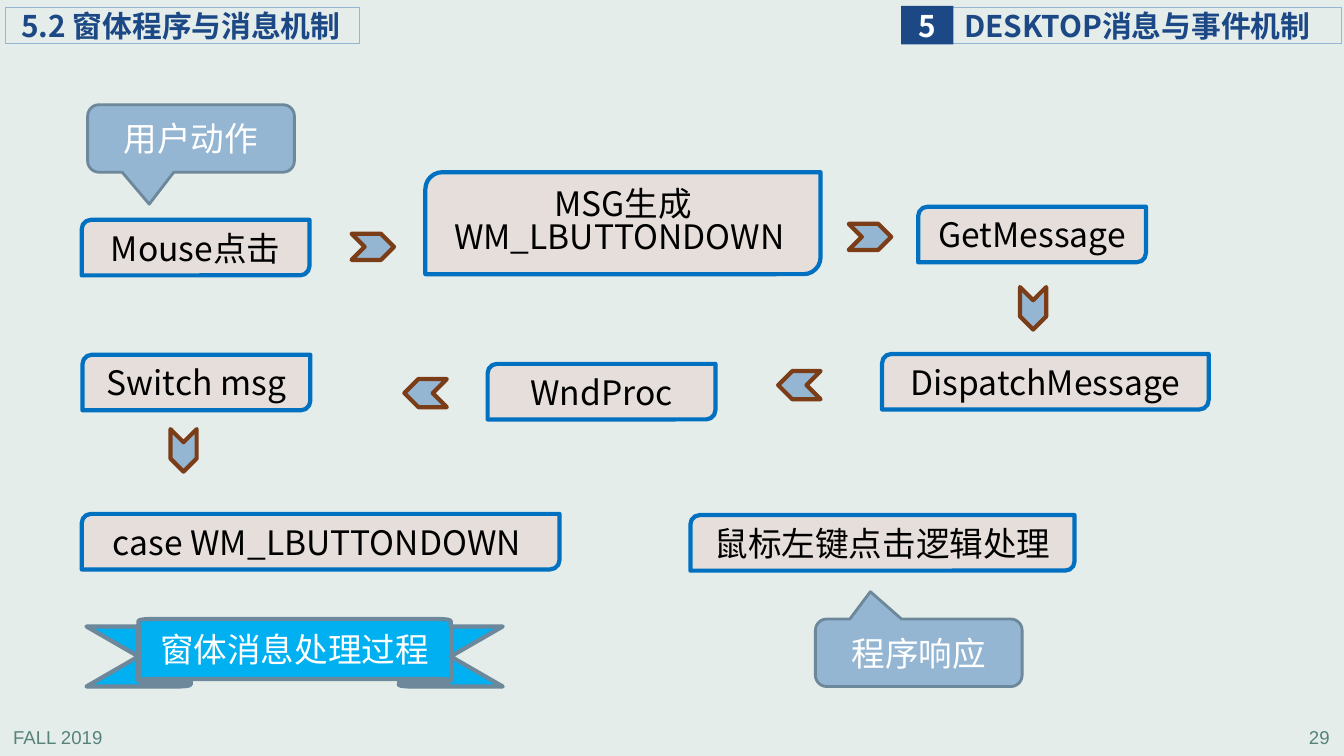
from pptx import Presentation
from pptx.dml.color import RGBColor
from pptx.enum.shapes import MSO_SHAPE
from pptx.enum.text import MSO_ANCHOR, PP_ALIGN
from pptx.oxml.ns import qn
from pptx.util import Cm, Pt

LEFT, CENTER, RIGHT = PP_ALIGN.LEFT, PP_ALIGN.CENTER, PP_ALIGN.RIGHT
RECT, STEP, CHEVRON = MSO_SHAPE.RECTANGLE, MSO_SHAPE.ROUND_2_DIAG_RECTANGLE, MSO_SHAPE.CHEVRON
CALLOUT, RIBBON = MSO_SHAPE.ROUNDED_RECTANGULAR_CALLOUT, MSO_SHAPE.UP_RIBBON
CJK_FONT, FOOTER_FONT = "Noto Sans CJK SC", "Arial"
COLORS = {
    "page": "E5EDEB", "footer": "578279", "navy": "1C4885", "steel": "94B6D2",
    "slate": "6D879B", "step": "E6DEDB", "blue": "0070C0", "brown": "7B3D17",
    "sky": "00B0F0", "white": "FFFFFF", "black": "000000",
}


def add_box(kind, place, fill=None, line=None, width=0, adjust=()):
    """Add a preset shape at (left, top, width, height) in centimetres."""
    box = page.shapes.add_shape(kind, *[Cm(length) for length in place])
    box.shadow.inherit = False
    for index, value in enumerate(adjust):
        box.adjustments[index] = value
    if fill:
        box.fill.solid()
        box.fill.fore_color.rgb = RGBColor.from_string(COLORS[fill])
    else:
        box.fill.background()
    if line:
        box.line.color.rgb = RGBColor.from_string(COLORS[line])
        box.line.width = Pt(width)
    else:
        box.line.fill.background()
    return box


def write(box, lines, color, size=24, align=CENTER, bold=False, font=CJK_FONT, spacing=None):
    frame = box.text_frame
    frame.word_wrap = True
    frame.vertical_anchor = MSO_ANCHOR.MIDDLE
    for index, line in enumerate(lines):
        para = frame.add_paragraph() if index else frame.paragraphs[0]
        para.alignment = align
        para.line_spacing = spacing
        span = para.add_run()
        span.text = line
        span.font.name = font
        span.font.size = Pt(size)
        span.font.bold = bold
        span.font.color.rgb = RGBColor.from_string(COLORS[color])
        east_asian = span.font._element.makeelement(qn("a:ea"), {"typeface": font})
        span.font._element.find(qn("a:latin")).addnext(east_asian)


deck = Presentation()
deck.slide_width, deck.slide_height = Cm(33.87), Cm(19.05)
page = deck.slides.add_slide(deck.slide_layouts[6])
page.background.fill.solid()
page.background.fill.fore_color.rgb = RGBColor.from_string(COLORS["page"])

# Footer
for text, left, align in [("FALL 2019", 0.08, LEFT), ("29", 26.7, RIGHT)]:
    footer = page.shapes.add_textbox(Cm(left), Cm(18.19), Cm(7.06), Cm(0.79))
    write(footer, [text], "footer", 13.3, align, font=FOOTER_FONT)

# Header: chapter title, chapter number, section title
headers = [
    ("DESKTOP消息与事件机制", (24, 0.18, 9.8, 0.91), None, "steel", "navy", LEFT, 0.3),
    ("5", (22.71, 0.15, 1.32, 0.97), "navy", None, "white", CENTER, 0),
    ("5.2 窗体程序与消息机制", (0.13, 0.18, 8.92, 0.91), None, "steel", "navy", LEFT, 0.41),
]
for text, place, fill, line, color, align, inset in headers:
    header = add_box(RECT, place, fill, line, 0.75)
    frame = header.text_frame
    frame.margin_left = Cm(inset)
    frame.margin_top = frame.margin_right = frame.margin_bottom = 0
    write(header, [text], color, 21.3, align, bold=True)

# Steps of the message flow
steps = [
    (["Mouse点击"], 2.06, 5.54, 5.74),
    (["MSG生成", "WM_LBUTTONDOWN "], 10.72, 4.34, 9.96),
    (["GetMessage"], 23.14, 5.21, 5.74),
    (["Switch msg"], 2.08, 8.94, 5.74),
    (["WndProc"], 12.29, 9.17, 5.74),
    (["DispatchMessage"], 22.23, 8.92, 8.23),
    (["case WM_LBUTTONDOWN "], 2.06, 12.95, 12.04),
    (["鼠标左键点击逻辑处理"], 17.4, 12.98, 9.68),
]
for lines, left, top, width in steps:
    tall = len(lines) > 1
    step = add_box(STEP, (left, top, width, 2.57 if tall else 1.4), "step", "blue", 3)
    write(step, lines, "black", spacing=0.83 if tall else None)

# Callouts
callouts = [
    ("用户动作", 2.21, 2.64, (-0.202, 0.974, 0.167)),
    ("程序响应", 20.55, 15.6, (-0.234, -0.906, 0.167)),
]
for text, left, top, adjust in callouts:
    callout = add_box(CALLOUT, (left, top, 5.21, 1.7), "steel", "slate", 2, adjust)
    write(callout, [text], "white")

# Chevrons between the steps
chevrons = [
    (8.86, 5.89, 0.66, 0), (21.39, 5.64, 0.66, 0), (25.5, 7.44, 0.66, 90),
    (19.61, 9.35, 0.71, 180), (10.19, 9.55, 0.71, 180), (4.09, 11.02, 0.66, 90),
]
for left, top, height, angle in chevrons:
    chevron = add_box(CHEVRON, (left, top, 1.07, height), "steel", "brown", 3)
    chevron.rotation = angle

ribbon = add_box(RIBBON, (2.18, 15.6, 10.49, 1.7), "sky", "slate", 3, (0.11, 0.75))
write(ribbon, ["窗体消息处理过程"], "white")

deck.save("out.pptx")
